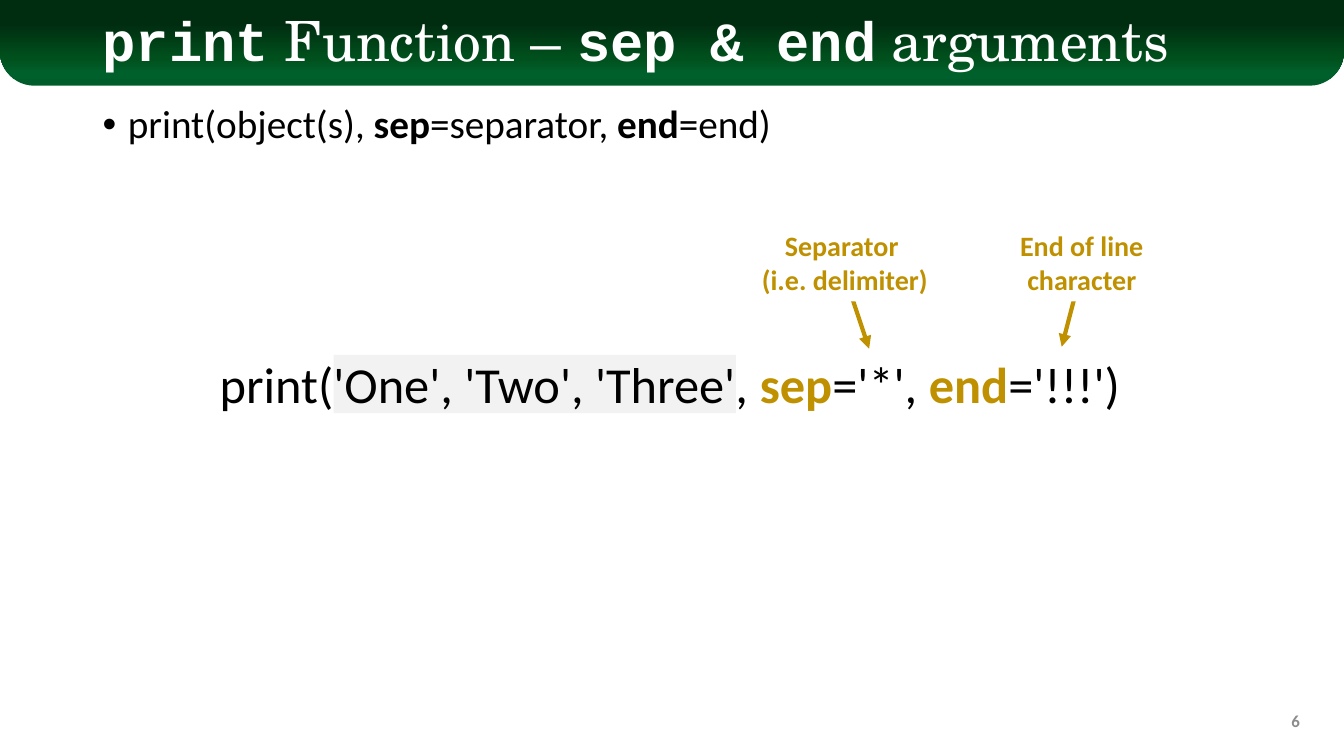
from copy import deepcopy

from lxml.etree import SubElement
from pptx import Presentation
from pptx.dml.color import RGBColor
from pptx.enum.shapes import MSO_CONNECTOR, MSO_SHAPE
from pptx.enum.text import MSO_ANCHOR, PP_ALIGN
from pptx.oxml.ns import qn
from pptx.util import Inches, Pt

GOLD, BLACK, WHITE, GRAY = "BF9000", "000000", "FFFFFF", "8C8C8C"
BANNER_STOPS = [(0, "005C2B"), (0.15, "00602B"), (0.32, "00501D"), (0.72, "002D10")]


def color(value):
    """Turn a hex string into a colour."""
    return RGBColor.from_string(value)


def add_run(paragraph, text, size, font="Calibri", fill=BLACK, bold=False):
    """Append one formatted run."""
    run = paragraph.add_run()
    run.text = text
    run.font.size = Pt(size)
    run.font.name = font
    run.font.bold = bold
    run.font.color.rgb = color(fill)


def add_block(slide, box, fill, preset=MSO_SHAPE.RECTANGLE):
    """Add a filled shape without outline or shadow."""
    shape = slide.shapes.add_shape(preset, *map(Inches, box))
    shape.shadow.inherit = False
    shape.line.fill.background()
    shape.fill.solid()
    shape.fill.fore_color.rgb = color(fill)
    return shape


def add_text(slide, box, anchor=MSO_ANCHOR.TOP, wrap=True):
    """Add a text box and return its first paragraph."""
    frame = slide.shapes.add_textbox(*map(Inches, box)).text_frame
    frame.word_wrap = wrap
    frame.vertical_anchor = anchor
    return frame.paragraphs[0]


def add_banner(slide, box):
    """Draw the green gradient band with rounded lower corners."""
    banner = add_block(slide, box, "005C2B", MSO_SHAPE.ROUND_2_SAME_RECTANGLE)
    banner.adjustments[0] = 0
    banner.adjustments[1] = 0.4
    banner.fill.gradient()
    banner.fill.gradient_angle = 90
    stop_list = banner.element.spPr.find(qn("a:gradFill")).find(qn("a:gsLst"))
    while len(stop_list) < len(BANNER_STOPS):
        stop_list.append(deepcopy(stop_list[-1]))
    for stop, (position, value) in zip(banner.fill.gradient_stops, BANNER_STOPS):
        stop.position = position
        stop.color.rgb = color(value)


def add_title(slide, box):
    """Write the title, with code words in a monospaced font."""
    paragraph = add_text(slide, box, MSO_ANCHOR.MIDDLE)
    paragraph.line_spacing = 0.9
    for text, is_code in [("print", True), (" Function – ", False),
                          ("sep & end", True), (" arguments", False)]:
        font = "Courier New" if is_code else "TeX Gyre Schola"
        add_run(paragraph, text, 39.6, font, WHITE, is_code)


def add_signature(slide, box):
    """Write the bulleted function signature."""
    paragraph = add_text(slide, box)
    paragraph.line_spacing = 0.9
    paragraph.space_before = Pt(10)
    properties = paragraph._p.get_or_add_pPr()
    properties.set("marL", str(Inches(0.25)))
    properties.set("indent", str(Inches(-0.25)))
    SubElement(properties, qn("a:buFont")).set("typeface", "Arial")
    SubElement(properties, qn("a:buChar")).set("char", "•")
    for text, bold in [("print(object(s), ", False), ("sep", True),
                       ("=separator, ", False), ("end", True), ("=end)", False)]:
        add_run(paragraph, text, 28, bold=bold)


def add_arrow(slide, start, end):
    """Draw a gold arrow."""
    arrow = slide.shapes.add_connector(MSO_CONNECTOR.STRAIGHT, *map(Inches, start + end))
    arrow.line.color.rgb = color(GOLD)
    arrow.line.width = Pt(3)
    SubElement(arrow.line._get_or_add_ln(), qn("a:tailEnd")).set("type", "triangle")
    SubElement(arrow.element.spPr, qn("a:effectLst"))


def add_label(slide, box, lines):
    """Draw a white label with centred gold lines."""
    frame = add_block(slide, box, WHITE).text_frame
    frame.word_wrap = False
    frame.vertical_anchor = MSO_ANCHOR.TOP
    for index, text in enumerate(lines):
        paragraph = frame.add_paragraph() if index else frame.paragraphs[0]
        paragraph.alignment = PP_ALIGN.CENTER
        add_run(paragraph, text, 20, fill=GOLD, bold=True)


def add_example(slide, box):
    """Draw the example call with its highlight, arrows and labels."""
    left, top, width, height = box
    add_block(slide, (left + 1.23, top + 1.3, 3.99, 0.58), "F2F2F2")
    paragraph = add_text(slide, (left, top + 1.23, width, 0.71), wrap=False)
    for text, is_argument in [("print('One', 'Two', 'Three', ", False), ("sep", True),
                              ("='*', ", False), ("end", True), ("='!!!')", False)]:
        add_run(paragraph, text, 36, fill=GOLD if is_argument else BLACK, bold=is_argument)
    for start, end, drop in [(6.38, 6.54, 1.24), (8.57, 8.45, 1.22)]:
        add_arrow(slide, (left + start, top + 0.76), (left + end, top + drop))
    for offset, label_width, lines in [(5.37, 1.86, ("Separator ", "(i.e. delimiter)")),
                                       (7.93, 1.44, ("End of line", "character"))]:
        add_label(slide, (left + offset, top, label_width, 0.77), lines)


def add_page_number(slide, box):
    """Write the slide number at the right."""
    paragraph = add_text(slide, box, MSO_ANCHOR.MIDDLE)
    paragraph.alignment = PP_ALIGN.RIGHT
    add_run(paragraph, "6", 12, fill=GRAY, bold=True)


def build():
    """Build and save the slide."""
    presentation = Presentation()
    presentation.slide_width = Inches(13.33)
    presentation.slide_height = Inches(7.5)
    slide = presentation.slides.add_slide(presentation.slide_layouts[6])
    add_banner(slide, (0, 0, 13.33, 0.85))
    add_title(slide, (0.92, 0.13, 11.5, 0.61))
    add_signature(slide, (0.92, 0.99, 11.5, 5.77))
    add_page_number(slide, (9.99, 6.95, 3, 0.4))
    add_example(slide, (2.08, 2.22, 9.19, 1.94))
    presentation.save("out.pptx")


build()
